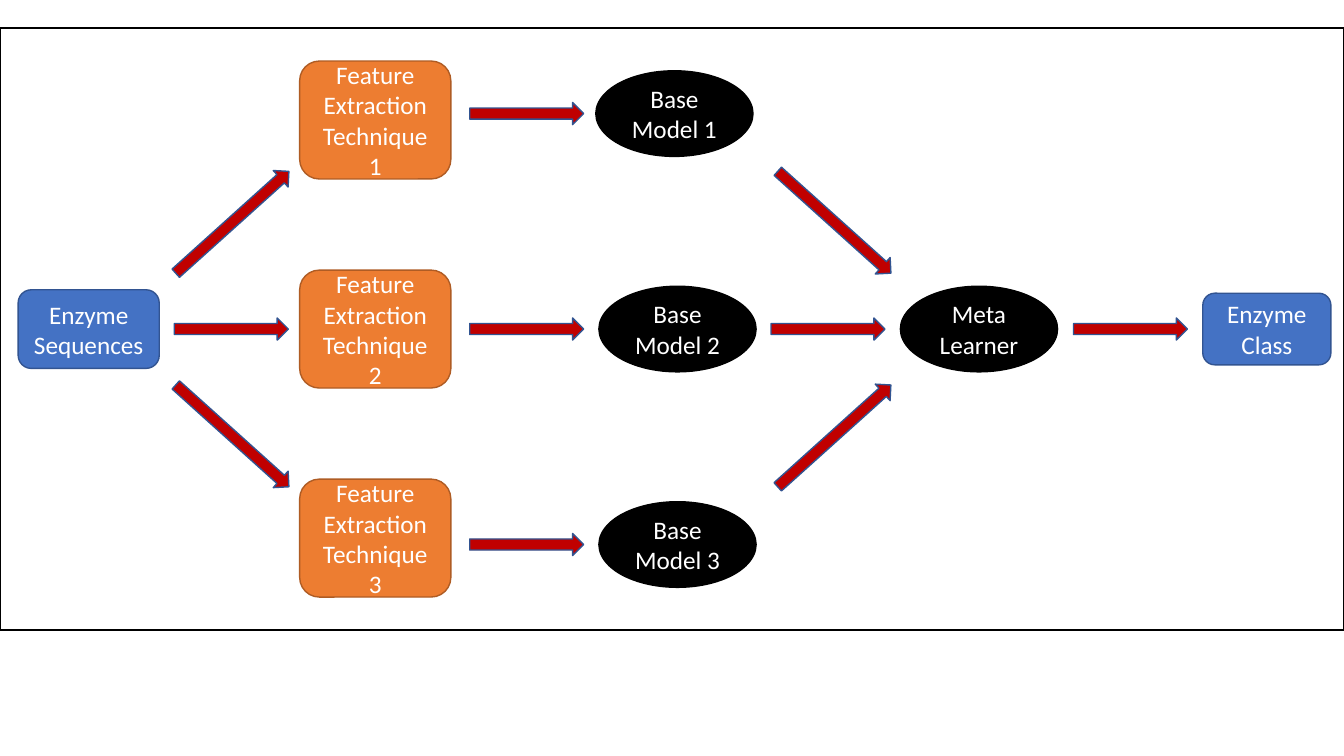
from dataclasses import dataclass

from pptx import Presentation
from pptx.dml.color import RGBColor
from pptx.enum.shapes import MSO_SHAPE
from pptx.enum.text import MSO_ANCHOR, PP_ALIGN
from pptx.slide import Slide
from pptx.util import Inches, Pt

RECTANGLE = MSO_SHAPE.RECTANGLE
ROUNDED = MSO_SHAPE.ROUNDED_RECTANGLE
OVAL = MSO_SHAPE.OVAL
ARROW = MSO_SHAPE.RIGHT_ARROW
MIDDLE = MSO_ANCHOR.MIDDLE
CENTER = PP_ALIGN.CENTER

SLIDE_WIDTH = Inches(13.33)
SLIDE_HEIGHT = Inches(7.5)
COLUMN = SLIDE_WIDTH / 100
ROW = SLIDE_HEIGHT / 100

COLORS = {
    "white": "FFFFFF",
    "black": "000000",
    "blue": "4472C4",
    "navy": "325491",
    "orange": "ED7D31",
    "brown": "AF5C24",
    "red": "C00000",
}
FRAME_FORMAT = {"word_wrap": True, "vertical_anchor": MIDDLE}
FONT_FORMAT = {"name": "Calibri", "size": Pt(18)}


@dataclass(frozen=True)
class Style:
    outline: MSO_SHAPE
    columns: float
    rows: float
    fill: str
    line: str


@dataclass(frozen=True)
class Node:
    style: Style
    column: float
    row: float
    label: str = ""
    rotation: float = 0


BORDER = Style(RECTANGLE, 100, 79.6, "white", "black")
SEQUENCES = Style(ROUNDED, 10.5, 10.4, "blue", "navy")
FEATURE = Style(ROUNDED, 11.25, 15.6, "orange", "brown")
MODEL = Style(OVAL, 11.7, 11.33, "black", "black")
RESULT = Style(ROUNDED, 9.53, 9.47, "blue", "navy")
STEP = Style(ARROW, 8.48, 2.93, "red", "navy")
DIAGONAL = Style(ARROW, 11.33, 2.93, "red", "navy")

MID_ROW = 43.53
FEATURE_GAP = 27.65
MODEL_GAP = 28.5
DIAGONAL_GAP = 14.13
FEATURE_COLUMN = 27.92
MODEL_COLUMNS = (50.18, 50.41, 50.41)
STEP_COLUMNS = (17.21, 39.19, 61.61, 84.11)
SPLIT_COLUMN = 17.29
MERGE_COLUMN = 62.08
TILT = 42


def pipeline_nodes() -> list[Node]:
    nodes = [
        Node(BORDER, 50, MID_ROW),
        Node(SEQUENCES, 6.6, MID_ROW, "Enzyme Sequences"),
        Node(MODEL, 72.84, MID_ROW, "Meta Learner"),
        Node(RESULT, 94.26, MID_ROW, "Enzyme Class"),
    ]
    nodes += [Node(STEP, column, MID_ROW) for column in STEP_COLUMNS]
    for number, model_column in enumerate(MODEL_COLUMNS, start=1):
        side = number - 2
        model_row = MID_ROW + side * MODEL_GAP
        nodes += [
            Node(FEATURE, FEATURE_COLUMN, MID_ROW + side * FEATURE_GAP,
                 f"Feature Extraction Technique {number}"),
            Node(MODEL, model_column, model_row, f"Base Model {number}"),
        ]
        if side:
            diagonal_row = MID_ROW + side * DIAGONAL_GAP
            nodes += [
                Node(STEP, STEP_COLUMNS[1], model_row),
                Node(DIAGONAL, SPLIT_COLUMN, diagonal_row, rotation=side * TILT),
                Node(DIAGONAL, MERGE_COLUMN, diagonal_row, rotation=-side * TILT),
            ]
    return nodes


def apply_format(target: object, values: dict) -> None:
    for attribute, value in values.items():
        setattr(target, attribute, value)


def draw_node(slide: Slide, node: Node) -> None:
    style = node.style
    drawn = slide.shapes.add_shape(
        style.outline,
        round((node.column - style.columns / 2) * COLUMN),
        round((node.row - style.rows / 2) * ROW),
        round(style.columns * COLUMN),
        round(style.rows * ROW),
    )
    drawn.shadow.inherit = False
    drawn.rotation = node.rotation
    drawn.fill.solid()
    drawn.fill.fore_color.rgb = RGBColor.from_string(COLORS[style.fill])
    drawn.line.color.rgb = RGBColor.from_string(COLORS[style.line])
    drawn.line.width = Pt(1)
    if node.label:
        apply_format(drawn.text_frame, FRAME_FORMAT)
        paragraph = drawn.text_frame.paragraphs[0]
        paragraph.alignment = CENTER
        label = paragraph.add_run()
        label.text = node.label
        apply_format(label.font, FONT_FORMAT)
        label.font.color.rgb = RGBColor.from_string(COLORS["white"])


def main() -> None:
    presentation = Presentation()
    presentation.slide_width = SLIDE_WIDTH
    presentation.slide_height = SLIDE_HEIGHT
    slide = presentation.slides.add_slide(presentation.slide_layouts[6])
    for node in pipeline_nodes():
        draw_node(slide, node)
    presentation.save("out.pptx")


if __name__ == "__main__":
    main()
